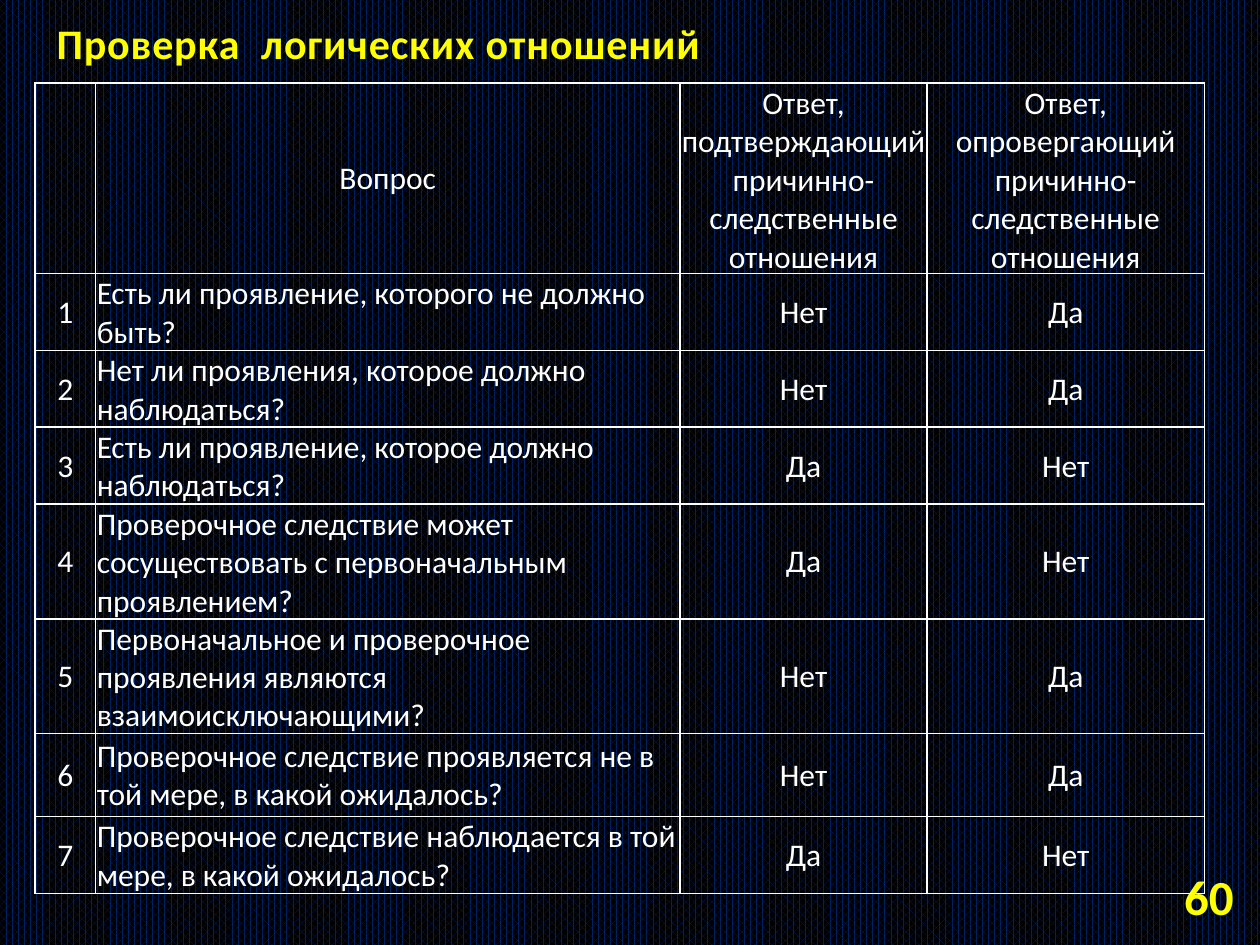
from lxml import etree
from pptx import Presentation
from pptx.dml.color import RGBColor
from pptx.enum.dml import MSO_PATTERN
from pptx.enum.text import MSO_ANCHOR, PP_ALIGN
from pptx.oxml.ns import qn
from pptx.util import Pt

LEFT, CENTER, RIGHT = PP_ALIGN.LEFT, PP_ALIGN.CENTER, PP_ALIGN.RIGHT
MIDDLE, BOTTOM = MSO_ANCHOR.MIDDLE, MSO_ANCHOR.BOTTOM
YES, NO = "Да", "Нет"

HEADER = ["", "Вопрос",
          "Ответ, подтверждающий причинно-следственные отношения",
          "Ответ, опровергающий причинно-следственные отношения"]

# Question, confirming answer
QUESTIONS = [
    ("Есть ли проявление, которого не должно быть?", NO),
    ("Нет ли проявления, которое должно наблюдаться?", NO),
    ("Есть ли проявление, которое должно наблюдаться?", YES),
    ("Проверочное следствие может сосуществовать с первоначальным проявлением?", YES),
    ("Первоначальное и проверочное проявления являются взаимоисключающими?", NO),
    ("Проверочное следствие проявляется не в той мере, в какой ожидалось?", NO),
    ("Проверочное следствие наблюдается в той мере, в какой ожидалось?", YES),
]
COL_WIDTHS = [34.6, 334, 141.2, 158.4]
ROW_HEIGHTS = [71.3, 35.3, 35.3, 35.3, 47.5, 47.5, 47.5, 35.3]


def rgb(value):
    return RGBColor.from_string(value)


class Deck:
    font, accent, ink = "Calibri", "FFFF00", "FFFFFF"

    def __init__(self, s):
        self.s = s

    def background(self, fore, back):
        fill = self.s.background.fill
        fill.patterned()
        fill.pattern = MSO_PATTERN.PERCENT_70
        fill.fore_color.rgb = rgb(fore)
        fill.back_color.rgb = rgb(back)

    def style(self, p, size, color, align, bold=False):
        p.alignment = align
        p.font.name = self.font
        p.font.size = Pt(size)
        p.font.bold = bold
        p.font.color.rgb = rgb(color)

    def text(self, text, x, y, w, h, size, align, anchor, spacing=0):
        sp = self.s.shapes.add_textbox(Pt(x), Pt(y), Pt(w), Pt(h))
        tf = sp.text_frame
        tf.word_wrap = True
        tf.vertical_anchor = anchor
        p = tf.paragraphs[0]
        r = p.add_run()
        r.text = text
        self.style(p, size, self.accent, align, bold=True)
        if spacing:
            r.font._element.set("spc", str(int(spacing * 100)))

    def borders(self, cell, width=1):
        tc_pr = cell._tc.get_or_add_tcPr()
        for side in ("a:lnL", "a:lnR", "a:lnT", "a:lnB"):
            ln = etree.SubElement(tc_pr, qn(side), w=str(Pt(width)))
            fill = etree.SubElement(ln, qn("a:solidFill"))
            etree.SubElement(fill, qn("a:srgbClr"), val=self.ink)

    def cell(self, cell, text, align):
        cell.margin_left = cell.margin_right = cell.margin_top = Pt(0.72)
        cell.margin_bottom = 0
        cell.vertical_anchor = MIDDLE
        cell.text = text
        self.style(cell.text_frame.paragraphs[0], 18, self.ink, align)
        self.borders(cell)
        cell.fill.background()

    def table(self, rows, x, y, widths, heights):
        frame = self.s.shapes.add_table(len(rows), len(widths), Pt(x), Pt(y),
                                        Pt(sum(widths)), Pt(sum(heights)))
        table = frame.table
        table.first_row = table.horz_banding = False
        for col, width in zip(table.columns, widths):
            col.width = Pt(width)
        for row, height in zip(table.rows, heights):
            row.height = Pt(height)
        for i, values in enumerate(rows):
            for j, value in enumerate(values):
                align = LEFT if i and j == 1 else CENTER
                self.cell(table.cell(i, j), value, align)


def main():
    prs = Presentation()
    prs.slide_width, prs.slide_height = Pt(720), Pt(540)
    deck = Deck(prs.slides.add_slide(prs.slide_layouts[6]))
    deck.background("002060", "000000")

    # Page number and title
    deck.text("60", 643.7, 497.5, 68.4, 28.8, 28, RIGHT, MIDDLE)
    deck.text("Проверка  логических отношений", 25.2, 9.4, 430.6, 33.1,
              24, LEFT, BOTTOM, spacing=0.5)

    # Question table: the refuting answer is the opposite of the confirming one
    rows = [HEADER]
    for number, (question, answer) in enumerate(QUESTIONS, 1):
        rows.append([str(number), question, answer, NO if answer == YES else YES])
    deck.table(rows, 20, 47.5, COL_WIDTHS, ROW_HEIGHTS)

    prs.save("out.pptx")


if __name__ == "__main__":
    main()
